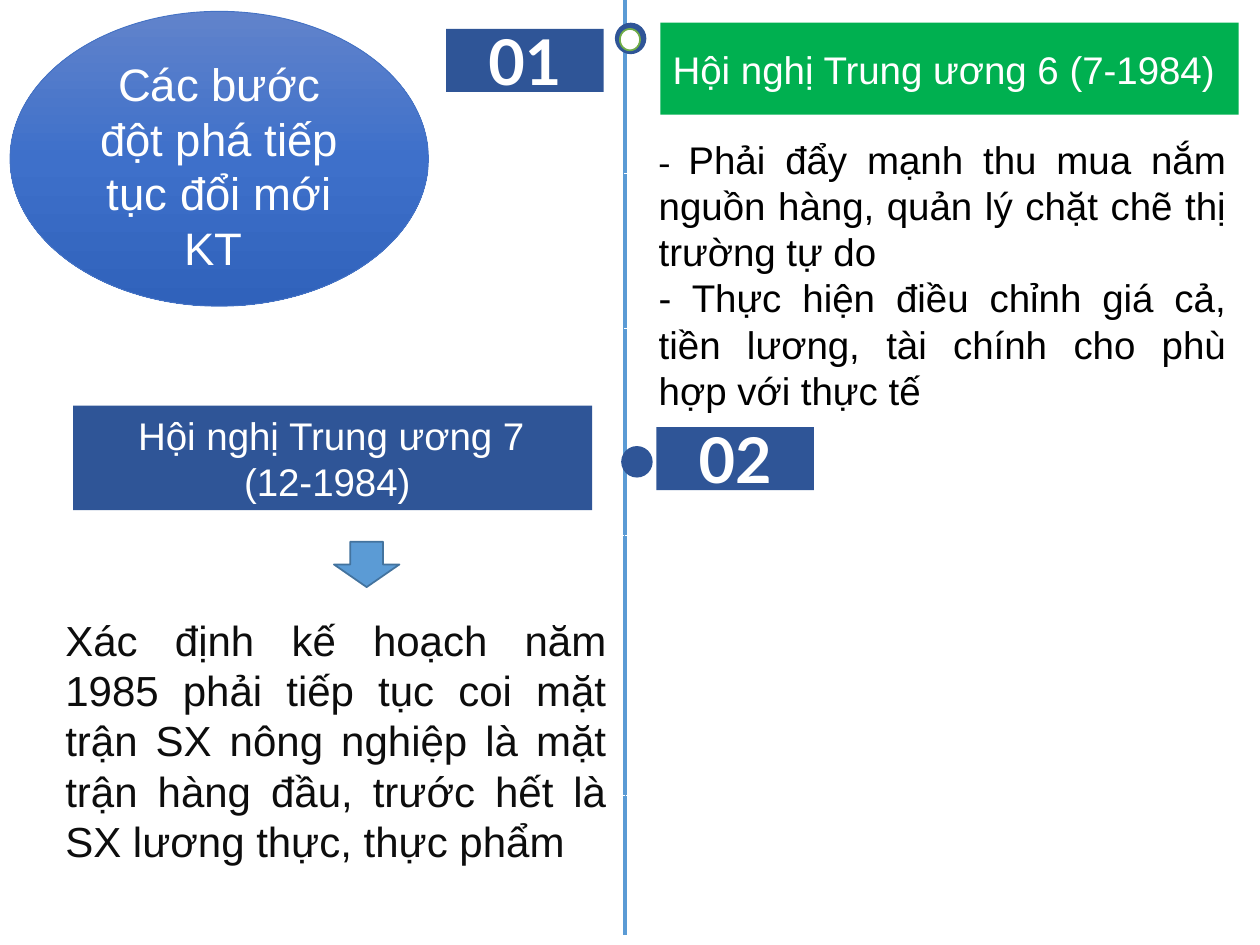
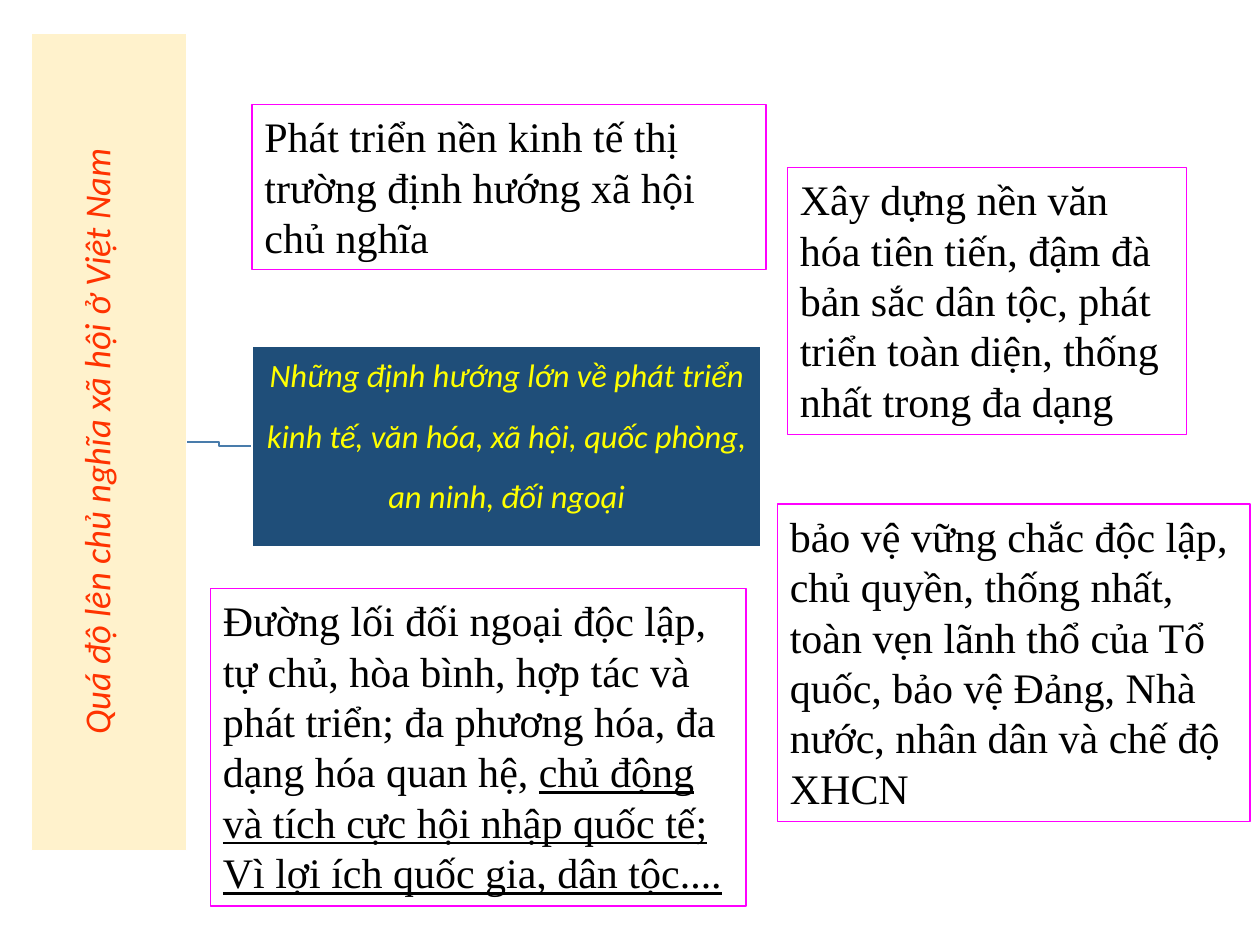
from copy import deepcopy

from lxml import etree
from pptx import Presentation
from pptx import util as u
from pptx.dml.color import RGBColor
from pptx.enum import dml, shapes, text
from pptx.oxml.ns import qn

WHITE, NAVY, SKY, MAGENTA = "FFFFFF", "2F5597", "5B9BD5", "FF00FF"
RECT, OVAL = shapes.MSO_SHAPE.RECTANGLE, shapes.MSO_SHAPE.OVAL
LEFT, CENTER, JUSTIFY = text.PP_ALIGN.LEFT, text.PP_ALIGN.CENTER, text.PP_ALIGN.JUSTIFY
TOP, MIDDLE = text.MSO_ANCHOR.TOP, text.MSO_ANCHOR.MIDDLE

NUMBER = dict(name="Lato", size=36, color=WHITE, bold=True)
HEADING = dict(name="Arial", size=22, color=WHITE)
BODY = dict(HEADING, color="000000")
SERIF = dict(name="Times New Roman", size=24, color="000000")
RAISED = dict(name="Calibri", italic=True, baseline=30000)


def rgb(hex_color):
    return RGBColor.from_string(hex_color)


def inches(*lengths):
    return [u.Inches(length) for length in lengths]


def format_span(span, style):
    for key, value in style.items():
        if key == "color":
            span.font.color.rgb = rgb(value)
        elif key == "baseline":
            span._r.get_or_add_rPr().set("baseline", str(value))
        else:
            setattr(span.font, key, u.Pt(value) if key == "size" else value)


def write(box, paras, align=LEFT, anchor=MIDDLE, insets=(0.1, 0.05, 0.1, 0.05),
          line_spacing=None, grow=False):
    """Fill a box with paragraphs, each a list of (wording, style) spans."""
    frame = box.text_frame
    frame.word_wrap = True
    frame.vertical_anchor = anchor
    if grow:
        frame.auto_size = text.MSO_AUTO_SIZE.SHAPE_TO_FIT_TEXT
    for side, inset in zip(("left", "top", "right", "bottom"), insets):
        setattr(frame, f"margin_{side}", u.Inches(inset))
    for index, spans in enumerate(paras):
        para = frame.add_paragraph() if index else frame.paragraphs[0]
        para.alignment = align
        if line_spacing:
            para.line_spacing = line_spacing
        for wording, style in spans:
            span = para.add_run()
            span.text = wording
            format_span(span, style)


def set_line(line, color, width):
    if color:
        line.color.rgb = rgb(color)
        line.width = u.Pt(width)
    else:
        line.fill.background()


def add_box(page, kind, place, fill=None, line=None, width=1):
    box = page.shapes.add_shape(kind, *inches(*place))
    box.shadow.inherit = False
    if fill:
        box.fill.solid()
        box.fill.fore_color.rgb = rgb(fill)
    else:
        box.fill.background()
    set_line(box.line, line, width)
    return box


def add_rule(page, start, end, color, width, dash=None):
    rule = page.shapes.add_connector(shapes.MSO_CONNECTOR.STRAIGHT, *inches(*start, *end))
    set_line(rule.line, color, width)
    if dash:
        rule.line.dash_style = dash
    etree.SubElement(rule._element.spPr, qn("a:effectLst"))


def shade(box, stops):
    """Give a box a top-to-bottom gradient of three (position, colour) stops."""
    box.fill.gradient()
    box.fill.gradient_angle = 270
    stop_list = box._element.spPr.find(".//" + qn("a:gsLst"))
    stop_list.append(deepcopy(stop_list[0]))
    for stop, (position, color) in zip(box.fill.gradient_stops, stops):
        stop.position = position
        stop.color.rgb = rgb(color)


def add_number(page, left, top, number):
    box = add_box(page, RECT, (left, top, 1.25, 0.5), NAVY)
    write(box, [[(number, NUMBER)]], CENTER)


def add_frame(page, place, *spans):
    box = add_box(page, RECT, place, line=MAGENTA, width=0.75)
    write(box, [spans], anchor=TOP, grow=True)


def build_timeline(page):
    add_rule(page, (4.96, 0), (4.96, 7.42), SKY, 2.25)
    for left, right, y in ((3.68, 7.97, 1.38), (1.75, 6.25, 2.61),
                           (3.71, 8, 4.25), (1.82, 6.32, 6.31)):
        add_rule(page, (left, y), (right, y), WHITE, 0.5, dml.MSO_LINE.SQUARE_DOT)

    add_number(page, 3.54, 0.23, "01")
    add_box(page, OVAL, (4.88, 0.18, 0.25, 0.25), NAVY)
    add_box(page, OVAL, (4.92, 0.23, 0.16, 0.17), WHITE, "70AD47")
    sixth = add_box(page, RECT, (5.24, 0.18, 4.59, 0.73), "00B050")
    write(sixth, [[("Hội nghị Trung ương 6 (7-1984)", HEADING)]])

    add_box(page, OVAL, (4.93, 3.54, 0.25, 0.25), NAVY)
    seventh = add_box(page, RECT, (0.58, 3.22, 4.12, 0.83), NAVY)
    write(seventh, [[(" ", dict(SERIF, size=18)), ("Hội nghị Trung ương 7 ", HEADING)],
                    [("(12-1984) ", HEADING)]], CENTER)
    add_number(page, 5.21, 3.39, "02")

    measures = page.shapes.add_textbox(*inches(5.13, 1.03, 4.7, 3))
    write(measures, [
        [("- ", dict(SERIF, size=20)),
         ("Phải đẩy mạnh thu mua nắm nguồn hàng, quản lý chặt chẽ thị trường tự do", BODY)],
        [("- Thực hiện điều chỉnh giá cả, tiền lương, tài chính cho phù hợp với thực tế", BODY)],
    ], JUSTIFY, TOP, grow=True)

    plan = add_box(page, RECT, (0.42, 4.71, 4.49, 2.62), WHITE)
    write(plan, [[("Xác định kế hoạch năm 1985 phải tiếp tục coi mặt trận SX nông nghiệp "
                   "là mặt trận hàng đầu, trước hết là SX lương thực, thực phẩm",
                   dict(BODY, size=24, color="0D0D0D"))]],
          JUSTIFY, insets=(0.1, 0.05, 0.1, 0.34))
    add_box(page, shapes.MSO_SHAPE.DOWN_ARROW, (2.65, 4.3, 0.52, 0.36), SKY, "43739E")

    topic = add_box(page, OVAL, (0.08, 0.09, 3.32, 2.34), line="4472C4", width=0.5)
    shade(topic, ((0, "6183CB"), (0.5, "3E70CA"), (1, "3062BB")))
    write(topic, [[("Các bước đột phá tiếp tục đổi mới KT ", dict(HEADING, size=26))]],
          CENTER, insets=(0.1, 0.15, 0.1, 0.05))


def build_orientations(page):
    path = page.shapes.build_freeform(*inches(1.48, 3.51))
    path.add_line_segments([inches(*point) for point in ((1.74, 3.51), (1.74, 3.54), (2, 3.54))],
                           close=False)
    elbow = path.convert_to_shape()
    elbow.shadow.inherit = False
    elbow.fill.background()
    set_line(elbow.line, "497CAB", 1)

    banner = add_box(page, RECT, (-2.38, 2.89, 6.49, 1.23), "FFF2CC", WHITE)
    banner.rotation = 270
    write(banner, [[("Quá độ lên chủ nghĩa xã hội ở Việt Nam",
                     dict(RAISED, size=36, color="FF3300"))]],
          CENTER, insets=[0.03] * 4, line_spacing=0.9)
    core = add_box(page, RECT, (2, 2.75, 4.04, 1.59), "1F4E79", WHITE)
    write(core, [[("Những định hướng lớn về phát triển kinh tế, văn hóa, xã hội, "
                   "quốc phòng, an ninh, đối ngoại", dict(RAISED, size=32, color="FFFF00"))]],
          CENTER, insets=[0.02] * 4, line_spacing=0.9)

    add_frame(page, (2, 0.83, 4.08, 1.31),
              ("Phát triển nền kinh tế thị trường định hướng xã hội chủ nghĩa", SERIF))
    add_frame(page, (6.25, 1.33, 3.17, 2.12),
              ("Xây dựng nền văn hóa tiên tiến, đậm đà bản sắc dân tộc, "
               "phát triển toàn diện, thống nhất trong đa dạng", SERIF))
    add_frame(page, (6.17, 4, 3.75, 2.52),
              ("bảo vệ vững chắc độc lập, chủ quyền, thống nhất, toàn vẹn lãnh thổ của "
               "Tổ quốc, bảo vệ Đảng, Nhà nước, nhân dân và chế độ XHCN", SERIF))
    add_frame(page, (1.67, 4.67, 4.25, 2.52),
              ("Đường lối đối ngoại độc lập, tự chủ, hòa bình, hợp tác và phát triển; "
               "đa phương hóa, đa dạng hóa quan hệ, ", SERIF),
              ("chủ động và tích cực hội nhập quốc tế; Vì lợi ích quốc gia, dân tộc....",
               dict(SERIF, underline=True)))


def main():
    deck = Presentation()
    deck.slide_width, deck.slide_height = inches(10, 7.5)
    for build in (build_timeline, build_orientations):
        build(deck.slides.add_slide(deck.slide_layouts[6]))
    deck.save("out.pptx")


if __name__ == "__main__":
    main()
